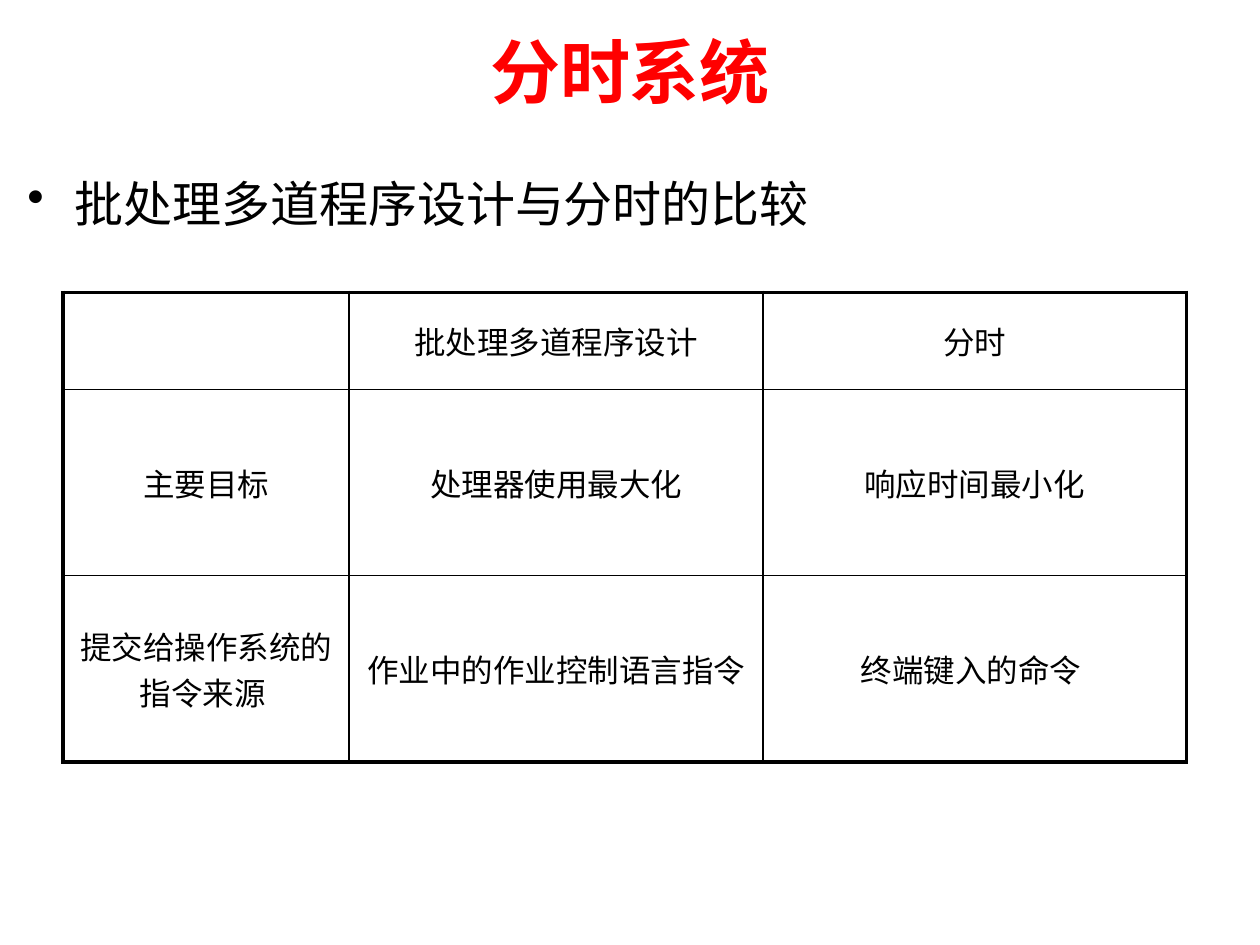
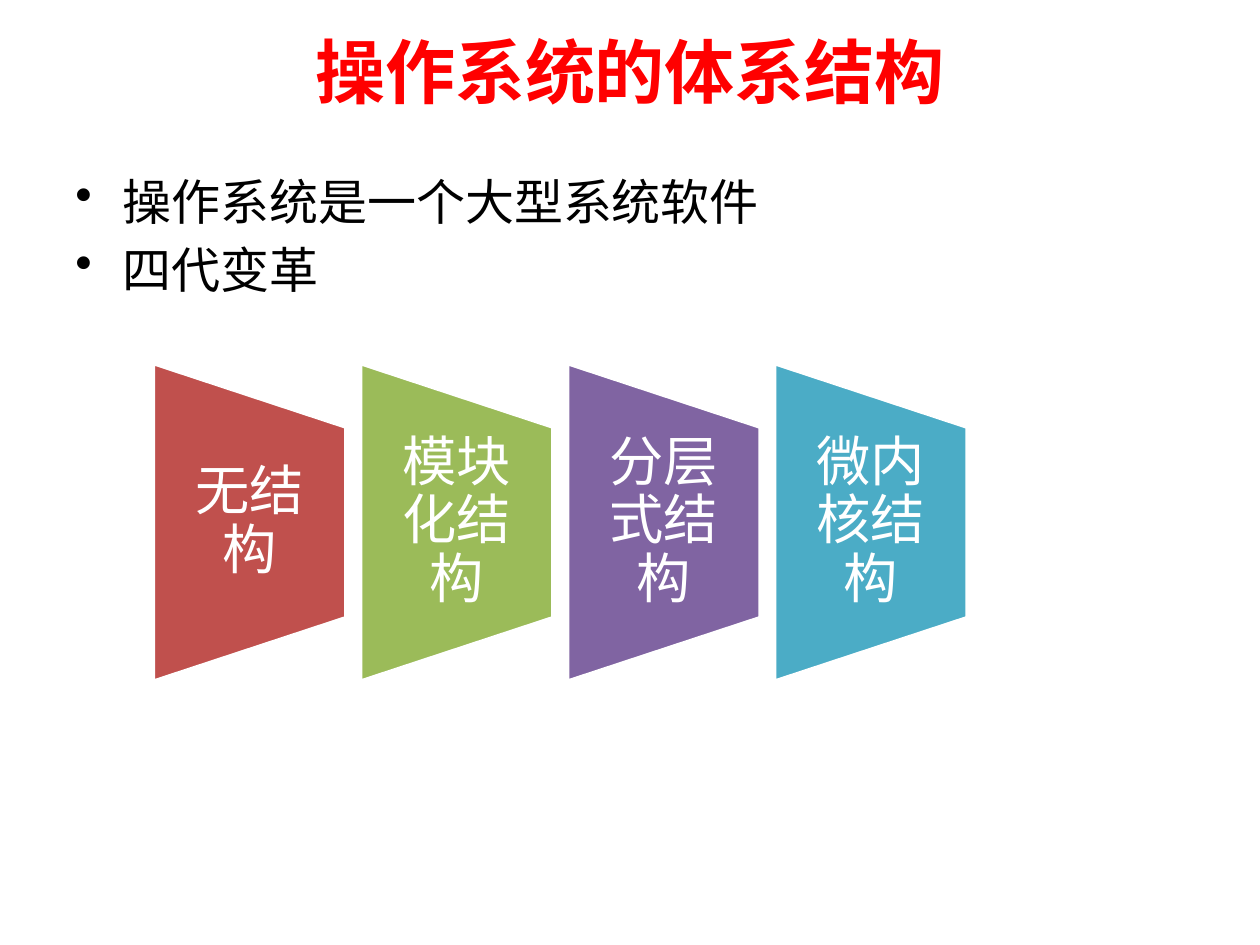
from pptx import Presentation
from pptx.dml.color import RGBColor
from pptx.enum.shapes import MSO_SHAPE as Shape
from pptx.enum.text import MSO_ANCHOR as Anchor, PP_ALIGN as Align
from pptx.oxml import parse_xml
from pptx.oxml.ns import nsdecls
from pptx.util import Pt

SERIF, SANS = "Times New Roman", "Calibri"
BLACK, WHITE, RED = "000000", "FFFFFF", "FF0000"
OUTER, INNER = 2.25, 1  # table rule widths


def color(value):
    return RGBColor.from_string(value)


def write(frame, lines, size=28, font=SERIF, ink=BLACK, bold=False, align=Align.LEFT,
          anchor=Anchor.TOP, bullet=None, indent=27, spacing=None, gap=0):
    """Fill a text frame, one paragraph for each line."""
    frame.word_wrap = True
    frame.vertical_anchor = anchor
    for number, line in enumerate(lines):
        para = frame.add_paragraph() if number else frame.paragraphs[0]
        para.alignment = align
        if bullet:
            props = para._p.get_or_add_pPr()
            props.set("marL", str(Pt(indent)))
            props.set("indent", str(-Pt(indent)))
            props.append(parse_xml(f'<a:buChar {nsdecls("a")} char="{bullet}"/>'))
        if spacing:
            para.line_spacing = spacing
        para.space_before = Pt(gap if number else 0)
        span = para.add_run()
        span.text = line
        span.font.size, span.font.name, span.font.bold = Pt(size), font, bold
        span.font.color.rgb = color(ink)


class Painter:
    """Holds the deck, its shared style and the current page."""

    def __init__(self):
        self.deck = Presentation()
        self.deck.slide_width, self.deck.slide_height = Pt(720), Pt(540)
        self.page = None

    def new_page(self, title):
        self.page = self.deck.slides.add_slide(self.deck.slide_layouts[6])
        self.text(36, 3.6, 648, 73.5, [title], size=40, ink=RED, bold=True,
                  align=Align.CENTER, anchor=Anchor.MIDDLE)

    def text(self, left, top, width, height, lines, side=7.2, edge=3.6, **style):
        box = self.page.shapes.add_textbox(Pt(left), Pt(top), Pt(width), Pt(height))
        frame = box.text_frame
        frame.margin_left = frame.margin_right = Pt(side)
        frame.margin_top = frame.margin_bottom = Pt(edge)
        write(frame, lines, **style)

    def bullets(self, left, top, width, height, lines, **style):
        self.text(left, top, width, height, lines, bullet="•", gap=5.6, **style)

    def table(self, left, top, widths, heights, rows):
        grid = self.page.shapes.add_table(
            len(heights), len(widths), Pt(left), Pt(top), Pt(sum(widths)), Pt(sum(heights))).table
        grid.first_row = grid.horz_banding = False
        for column, width in zip(grid.columns, widths):
            column.width = Pt(width)
        last_row, last_column = len(heights) - 1, len(widths) - 1
        for r, (height, row) in enumerate(zip(heights, rows)):
            grid.rows[r].height = Pt(height)
            for c, content in enumerate(row):
                cell = grid.cell(r, c)
                on_edge = {"L": c == 0, "R": c == last_column, "T": r == 0, "B": r == last_row}
                self.cell_borders(cell, on_edge)
                cell.fill.background()
                cell.vertical_anchor = Anchor.MIDDLE
                if content:
                    write(cell.text_frame, [content], size=18, align=Align.CENTER,
                          anchor=Anchor.MIDDLE)

    def cell_borders(self, cell, on_edge):
        props = cell._tc.get_or_add_tcPr()
        for side, outer in on_edge.items():
            width = Pt(OUTER if outer else INNER)
            props.append(parse_xml(
                f'<a:ln{side} {nsdecls("a")} w="{width}"><a:solidFill>'
                f'<a:srgbClr val="{BLACK}"/></a:solidFill></a:ln{side}>'))

    def trapezoid(self, left, middle, width, height, label, fill):
        """A trapezoid narrowing to the right, with its upright label."""
        # The preset lies on its side, so its own width is the visible height.
        block = self.page.shapes.add_shape(
            Shape.FLOWCHART_MANUAL_OPERATION, Pt(left + (width - height) / 2),
            Pt(middle - width / 2), Pt(height), Pt(width))
        block.rotation = 270
        block.shadow.inherit = False
        block.fill.solid()
        block.fill.fore_color.rgb = color(fill)
        block.line.color.rgb = color(WHITE)
        block.line.width = Pt(2)
        self.text(left, middle - 54.5, width, 109, [label], side=15.8, edge=0, size=31,
                  font=SANS, ink=WHITE, align=Align.CENTER, anchor=Anchor.MIDDLE, spacing=0.9)


def main():
    painter = Painter()

    # Time-sharing compared with batch multiprogramming
    painter.new_page("分时系统")
    painter.bullets(8.6, 88.6, 698, 436, ["批处理多道程序设计与分时的比较"], spacing=1.2)
    painter.table(36, 167, [163.5, 236.5, 242], [55.5, 106.5, 106.5], [
        ["", "批处理多道程序设计", "分时"],
        ["主要目标", "处理器使用最大化", "响应时间最小化"],
        ["提交给操作系统的指令来源 ", "作业中的作业控制语言指令", "终端键入的命令 "],
    ])

    # Four generations of system structure
    painter.new_page("操作系统的体系结构")
    painter.bullets(36, 94.3, 613, 380, ["操作系统是一个大型系统软件", "四代变革"])
    generations = [("无结构", "C0504D"), ("模块化结构", "9BBB59"),
                   ("分层式结构", "8064A2"), ("微内核结构", "4BACC6")]
    for number, (label, fill) in enumerate(generations):
        painter.trapezoid(87.7 + 118.3 * number, 298.5, 110, 181.5, label, fill)

    painter.deck.save("out.pptx")


if __name__ == "__main__":
    main()
